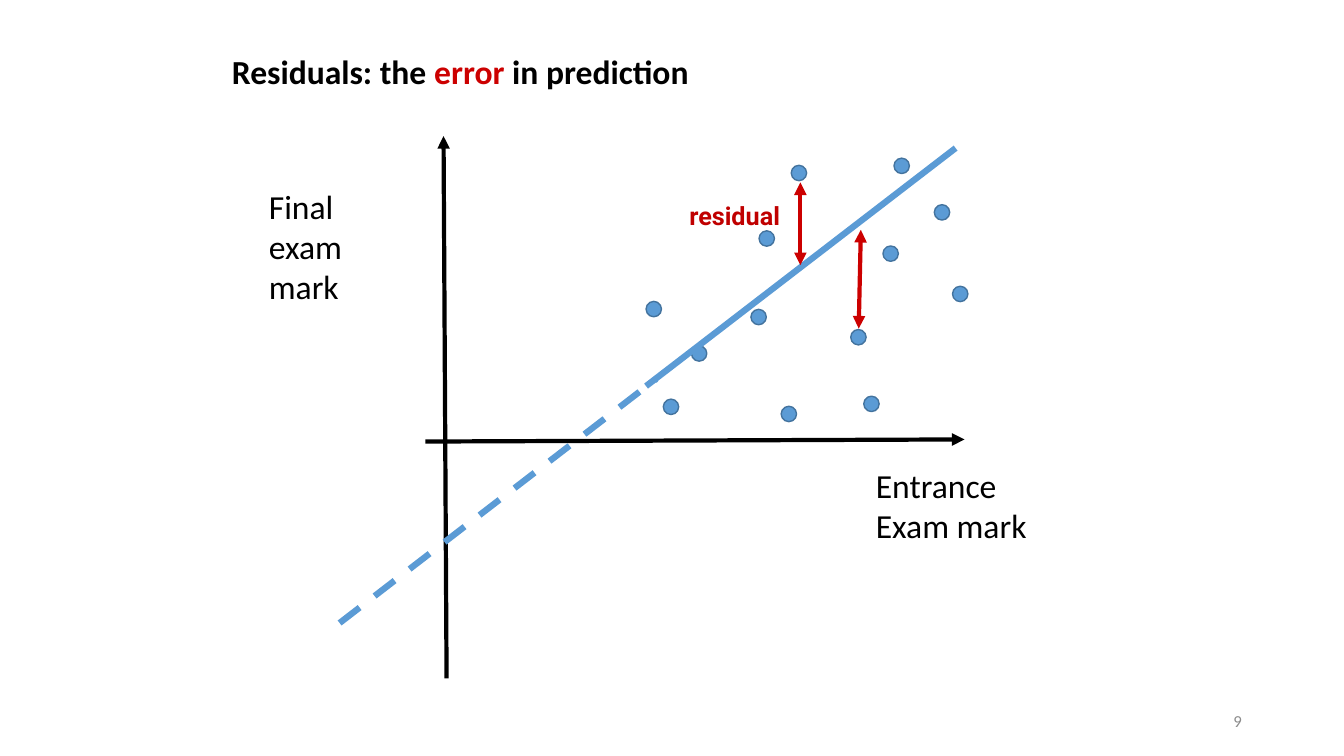
from pptx import Presentation
from pptx.dml.color import RGBColor
from pptx.enum.dml import MSO_LINE
from pptx.enum.shapes import MSO_CONNECTOR, MSO_SHAPE
from pptx.enum.text import MSO_ANCHOR, MSO_AUTO_SIZE, PP_ALIGN
from pptx.oxml.ns import qn
from pptx.util import Pt
from lxml.etree import SubElement

COLORS = {
    "black": "000000",
    "red": "CC0000",
    "dark_red": "C00000",
    "blue": "5B9BD5",
    "blue_edge": "43739E",
    "grey": "8C8C8C",
}
DOT_SIZE = 11
DOTS = [
    (542.2, 164.9), (461.5, 215.3), (493.9, 247), (630.7, 175.7), (536.4, 221),
    (473.8, 285.1), (617, 283), (607.7, 235.4), (565.2, 118.1), (667.4, 146.2),
    (680.4, 204.5), (638.6, 113), (558, 290.2),
]


def rgb(name):
    return RGBColor.from_string(COLORS[name])


class ResidualSlide:
    def __init__(self, prs, font="Calibri"):
        self.s = prs.slides.add_slide(prs.slide_layouts[5])
        self.font = font

    def style(self, r, size, color, bold=False, font=None):
        r.font.name = font or self.font
        r.font.size = Pt(size)
        r.font.bold = bold
        r.font.color.rgb = rgb(color)

    def title(self, box, parts, size=24, indent=21.6):
        """Fill the title placeholder from (text, color) parts."""
        sp = self.s.shapes.title
        sp.left, sp.top, sp.width, sp.height = map(Pt, box)
        tf = sp.text_frame
        tf.auto_size = MSO_AUTO_SIZE.NONE
        tf.vertical_anchor = MSO_ANCHOR.TOP
        p = tf.paragraphs[0]
        p.alignment = PP_ALIGN.LEFT
        pPr = p._p.get_or_add_pPr()
        pPr.set("marL", str(Pt(indent)))
        pPr.set("indent", "0")
        for text, color in parts:
            r = p.add_run()
            r.text = text
            self.style(r, size, color, bold=True)

    def text(self, box, text, size, color, bold=False, font=None,
             align=PP_ALIGN.LEFT, anchor=MSO_ANCHOR.TOP, wrap=False):
        tf = self.s.shapes.add_textbox(*map(Pt, box)).text_frame
        tf.word_wrap = wrap
        tf.vertical_anchor = anchor
        tf.text = text
        for p in tf.paragraphs:
            p.alignment = align
            for r in p.runs:
                self.style(r, size, color, bold, font)

    def dot(self, x, y):
        sp = self.s.shapes.add_shape(
            MSO_SHAPE.OVAL, Pt(x), Pt(y), Pt(DOT_SIZE), Pt(DOT_SIZE))
        sp.shadow.inherit = False
        sp.fill.solid()
        sp.fill.fore_color.rgb = rgb("blue")
        sp.line.color.rgb = rgb("blue_edge")
        sp.line.width = Pt(1)

    def line(self, start, end, color, width=3, dash=None, arrows=()):
        """Draw a line; arrows names the ends, "headEnd" being the start."""
        cn = self.s.shapes.add_connector(
            MSO_CONNECTOR.STRAIGHT, *map(Pt, (*start, *end)))
        cn.line.color.rgb = rgb(color)
        cn.line.width = Pt(width)
        if dash:
            cn.line.dash_style = dash
        for arrow in arrows:
            SubElement(cn.line._get_or_add_ln(), qn(f"a:{arrow}"), type="triangle")
        SubElement(cn._element.spPr, qn("a:effectLst"))


def main():
    prs = Presentation()
    prs.slide_width, prs.slide_height = Pt(960), Pt(540)
    slide = ResidualSlide(prs)

    slide.title((136.8, 32.4, 761, 36), [
        ("Residuals: the ", "black"), ("error", "red"), (" in prediction", "black")])

    slide.line((303.8, 315.4), (689, 313.9), "black", arrows=["tailEnd"])
    slide.line((319, 484.6), (316.8, 97.2), "black", arrows=["tailEnd"])
    for x, y in DOTS:
        slide.dot(x, y)

    slide.line((461.5, 275.8), (682.6, 105.8), "blue", 4.5)
    slide.line((242.6, 445), (468.7, 270.7), "blue", 4.5, MSO_LINE.DASH)
    for start, end in [((613.4, 234.7), (614.9, 164.2)),
                       ((571.7, 189.4), (571.7, 130.3))]:
        slide.line(start, end, "red", arrows=["headEnd", "tailEnd"])

    slide.text((618.5, 328.3, 123.1, 65.5), "Entrance\nExam mark", 24, "black")
    slide.text((185, 128.9, 67, 94.3), "Final\nexam\nmark", 24, "black")
    slide.text((485.3, 139.7, 84.2, 28.8), "residual", 18, "dark_red",
               bold=True, font="Roboto")
    slide.text((678.2, 500.4, 216, 28.8), "9", 12, "grey", align=PP_ALIGN.RIGHT,
               anchor=MSO_ANCHOR.MIDDLE, wrap=True)

    prs.save("out.pptx")


if __name__ == "__main__":
    main()
